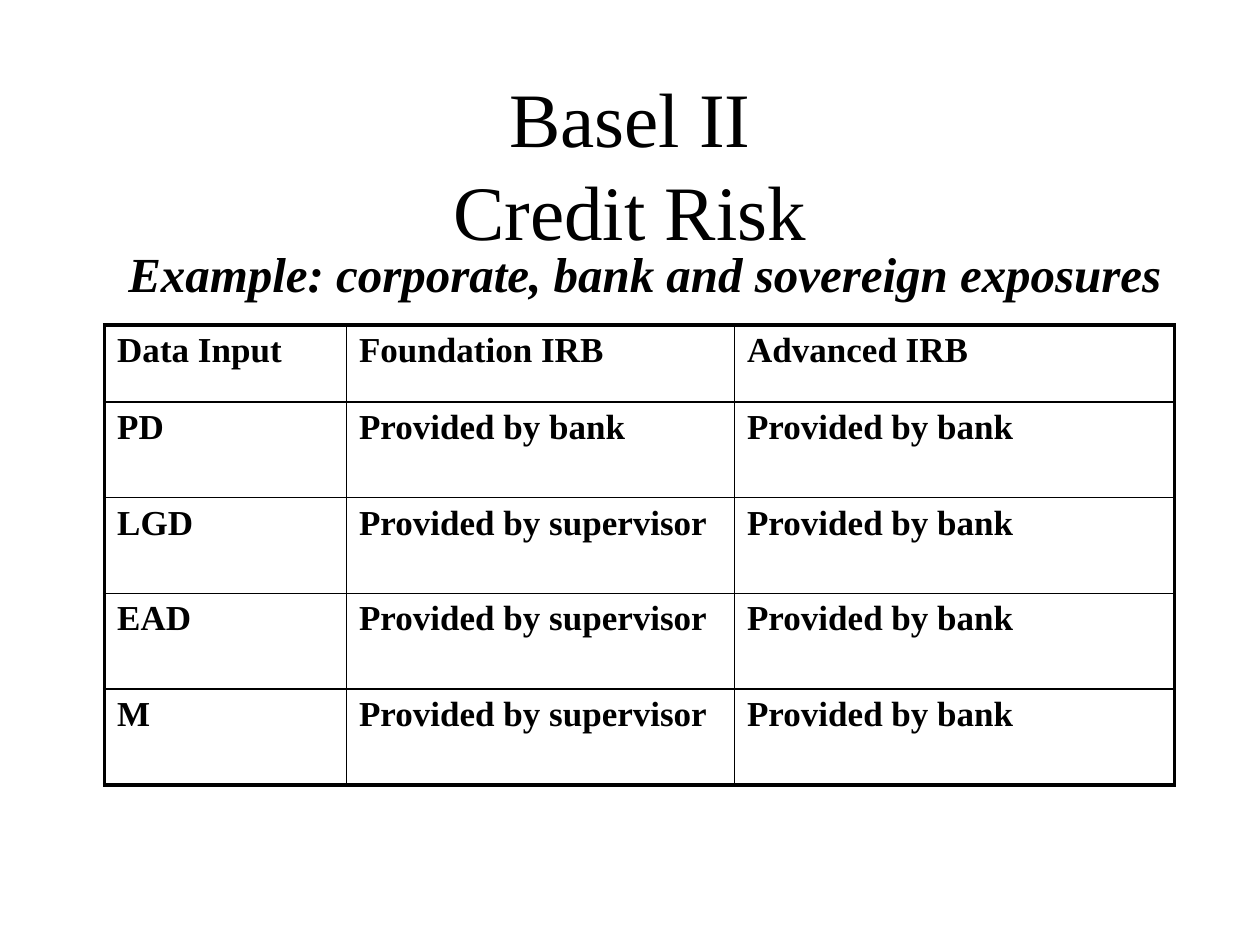
from pptx import Presentation
from pptx.dml.color import RGBColor
from pptx.enum.text import MSO_ANCHOR, MSO_AUTO_SIZE, PP_ALIGN
from pptx.oxml.ns import qn
from pptx.util import Inches, Pt
from lxml.etree import SubElement

BLACK = RGBColor(0, 0, 0)
FONT = "Times New Roman"
OUTER, INNER = Pt(2.25), Pt(1)
TITLE_ONLY = 5

COLUMN_WIDTHS = [1.92, 3.08, 3.49]
ROW_HEIGHTS = [0.61] + [0.76] * 4
BANK, SUPERVISOR = "Provided by bank", "Provided by supervisor"
DATA_INPUTS = [
    ("Data Input", "Foundation IRB", "Advanced IRB"),
    ("PD", BANK, BANK),
    ("LGD", SUPERVISOR, BANK),
    ("EAD", SUPERVISOR, BANK),
    ("M", SUPERVISOR, BANK),
]


def draw_border(cell, side, width):
    """Give one side of a cell a solid black line."""
    line = SubElement(cell._tc.get_or_add_tcPr(), qn(f"a:ln{side}"), w=str(width))
    fill = SubElement(line, qn("a:solidFill"))
    SubElement(fill, qn("a:srgbClr"), val=str(BLACK))


class SlideBuilder:
    """Holds the text style and the current slide."""

    def __init__(self, slide):
        self.slide = slide

    def set_text(self, frame, text, size, bold=False, italic=False, align=PP_ALIGN.LEFT):
        """Put one paragraph into a text frame and format its runs."""
        paragraph = frame.paragraphs[0]
        paragraph.text = text
        paragraph.alignment = align
        for run in paragraph.runs:
            font = run.font
            font.name, font.size = FONT, Pt(size)
            font.bold, font.italic = bold, italic
            font.color.rgb = BLACK

    def title(self, text, left, top, width, height):
        """Place and fill the title placeholder."""
        heading = self.slide.shapes.title
        heading.left, heading.top = Inches(left), Inches(top)
        heading.width, heading.height = Inches(width), Inches(height)
        frame = heading.text_frame
        frame.auto_size = MSO_AUTO_SIZE.NONE
        frame.vertical_anchor = MSO_ANCHOR.MIDDLE
        self.set_text(frame, text, 44, align=PP_ALIGN.CENTER)

    def subtitle(self, text, left, top, width, height):
        """Add the bold italic line under the title."""
        box = self.slide.shapes.add_textbox(
            Inches(left), Inches(top), Inches(width), Inches(height))
        box.text_frame.word_wrap = True
        box.text_frame.auto_size = MSO_AUTO_SIZE.SHAPE_TO_FIT_TEXT
        self.set_text(box.text_frame, text, 28, bold=True, italic=True)

    def table(self, rows, widths, heights, left, top):
        """Add an unfilled table with a thick frame and thin inner lines."""
        table = self.slide.shapes.add_table(
            len(rows), len(widths), Inches(left), Inches(top),
            Inches(sum(widths)), Inches(sum(heights))).table
        table.first_row = table.horz_banding = False
        for column, width in zip(table.columns, widths):
            column.width = Inches(width)
        last_row, last_column = len(rows) - 1, len(widths) - 1
        for r, (row, height) in enumerate(zip(rows, heights)):
            table.rows[r].height = Inches(height)
            for c, text in enumerate(row):
                cell = table.cell(r, c)
                self.set_text(cell.text_frame, text, 20, bold=True)
                on_frame = {"L": c == 0, "R": c == last_column,
                            "T": r == 0, "B": r == last_row}
                for side, outer in on_frame.items():
                    draw_border(cell, side, OUTER if outer else INNER)
                cell.fill.background()


def main():
    """Build the slide and save it."""
    deck = Presentation()
    deck.slide_width, deck.slide_height = Inches(10), Inches(7.5)
    builder = SlideBuilder(deck.slides.add_slide(deck.slide_layouts[TITLE_ONLY]))
    builder.title("Basel II\vCredit Risk", 0.75, 0.67, 8.5, 1.25)
    builder.table(DATA_INPUTS, COLUMN_WIDTHS, ROW_HEIGHTS, 0.83, 2.58)
    builder.subtitle("Example: corporate, bank and sovereign exposures",
                     0.92, 1.88, 8.58, 0.57)
    deck.save("out.pptx")


main()
